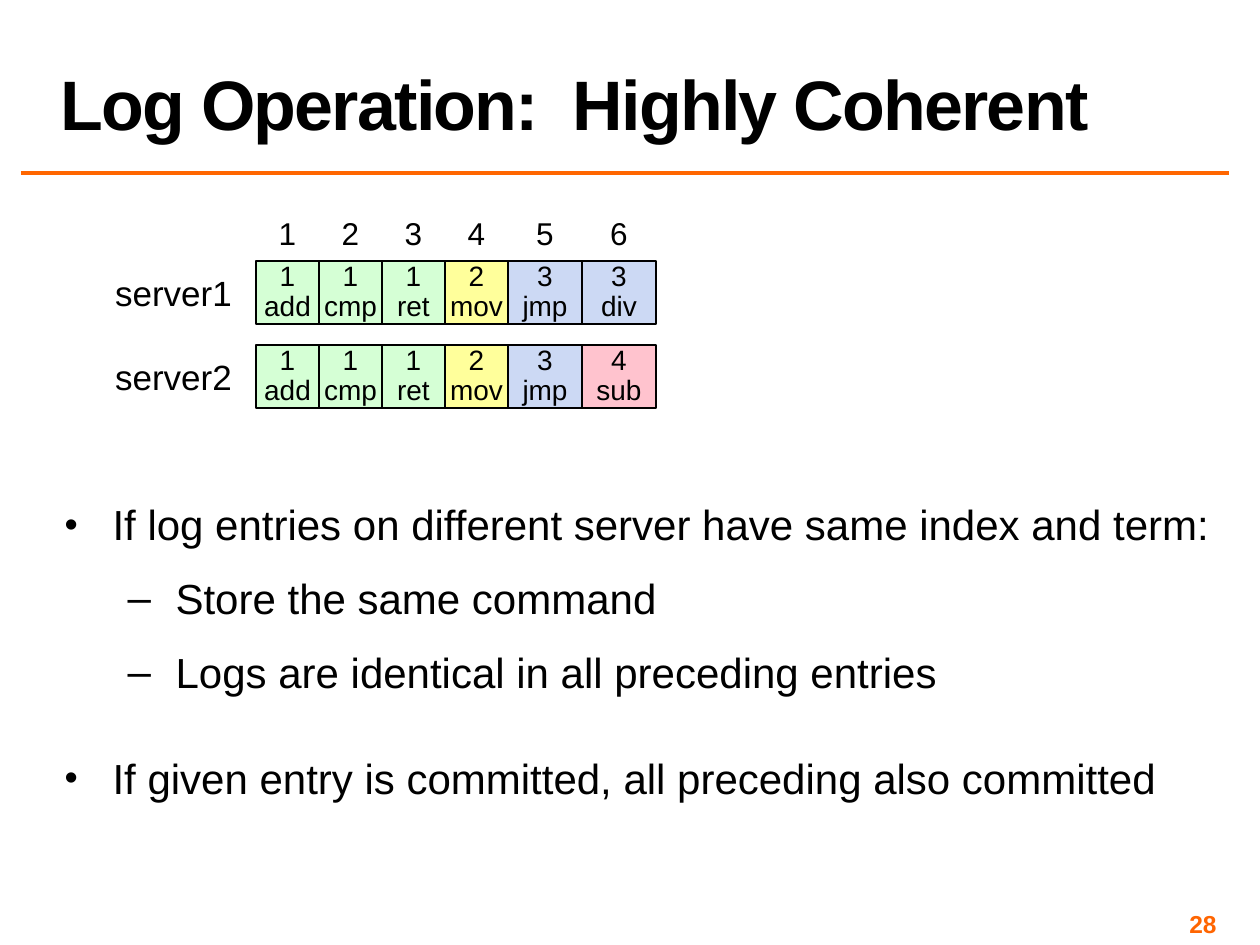
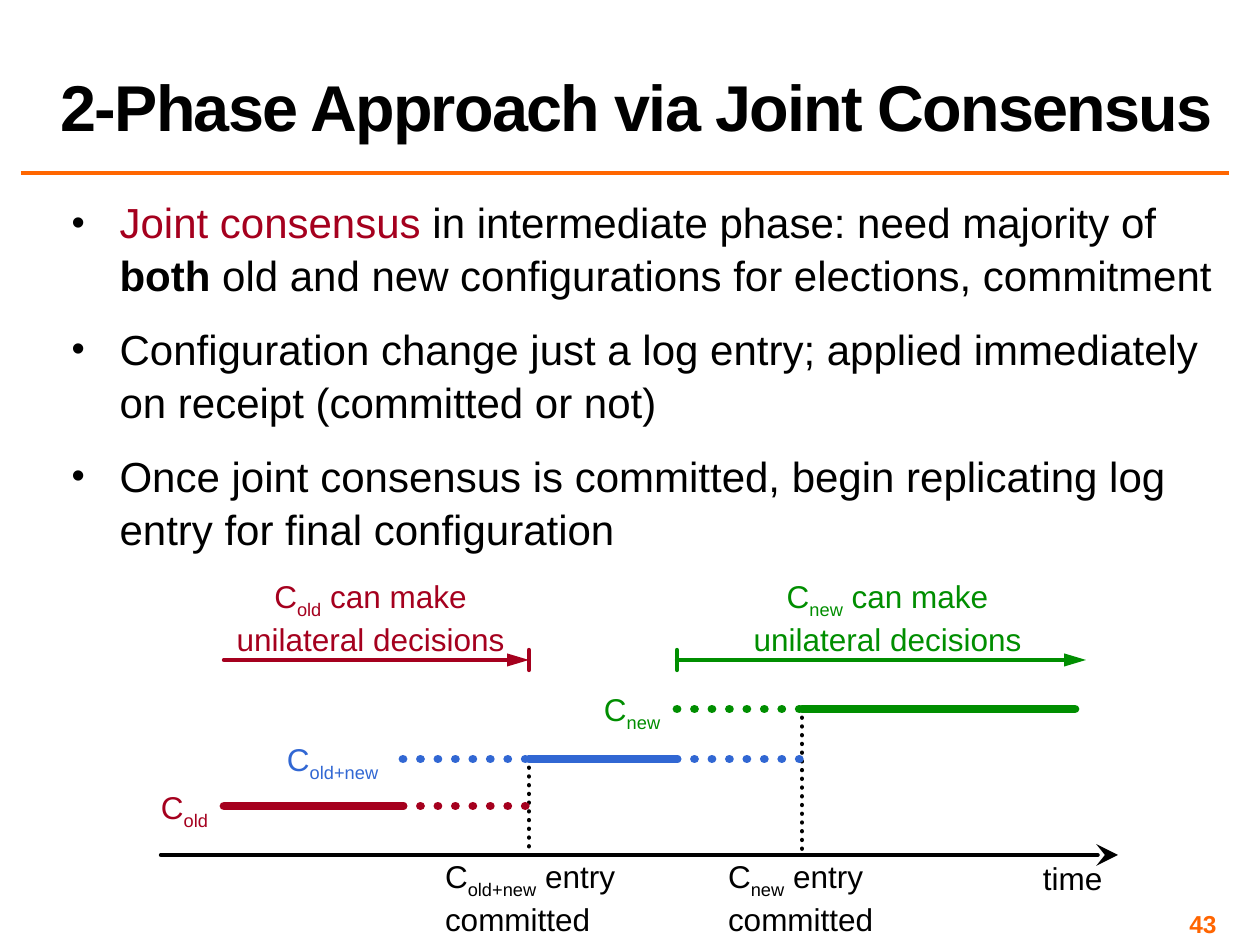
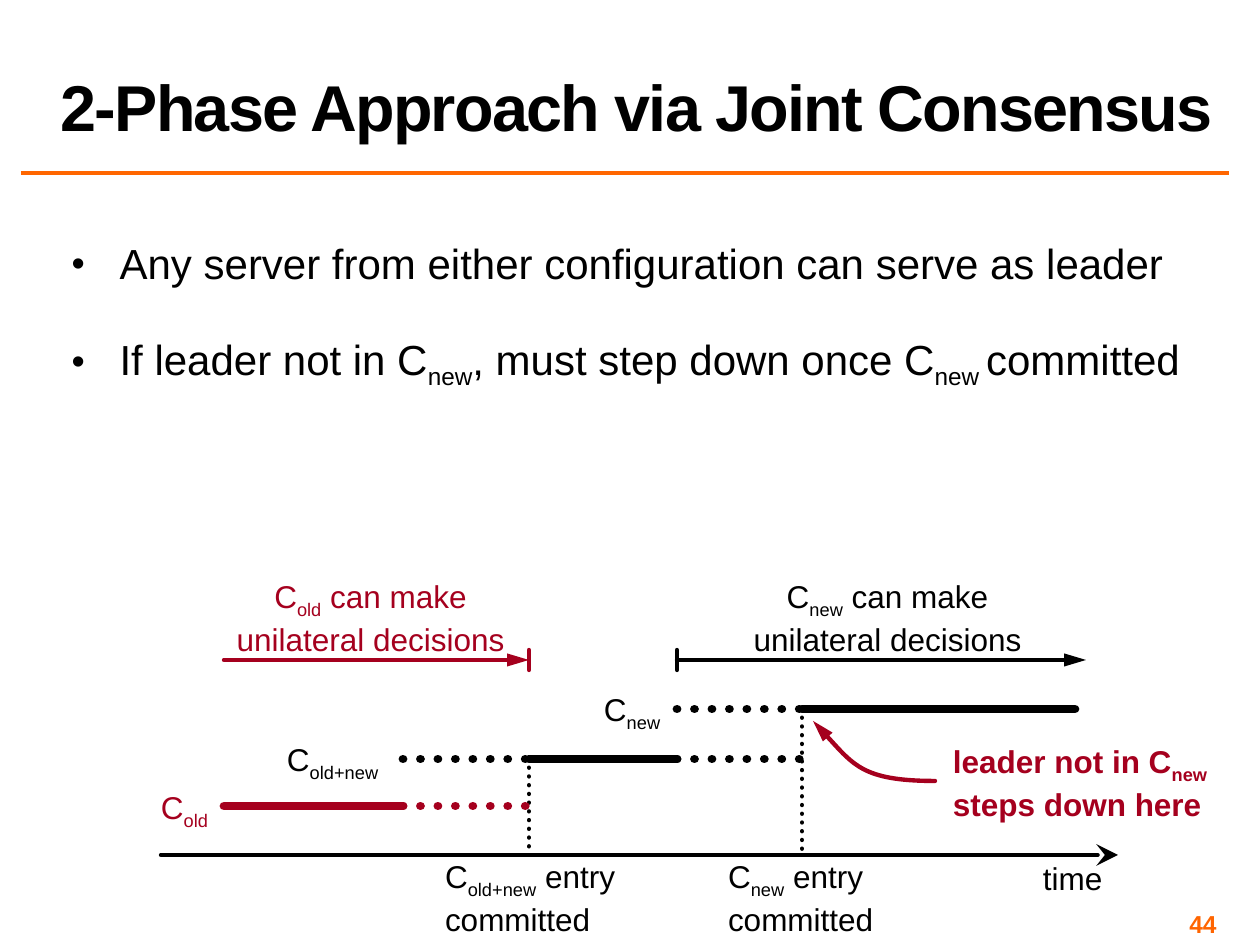
"""Build three slides on replicated logs and joint consensus."""
import enum
from dataclasses import dataclass
from typing import Any, NamedTuple

import lxml.etree
import pptx
import pptx.dml.color
import pptx.enum.dml
import pptx.enum.shapes
import pptx.enum.text
import pptx.oxml.ns
import pptx.util

EMU_PER_PX = 914400 / 126
ALIGN = pptx.enum.text.PP_ALIGN
ANCHOR = pptx.enum.text.MSO_ANCHOR
FIT = pptx.enum.text.MSO_AUTO_SIZE


@dataclass(frozen=True)
class Theme:
    font: str = "Arial"
    black: str = "000000"
    red: str = "A5001E"
    blue: str = "3167D3"
    green: str = "008E00"
    rule: str = "FF6600"
    number: str = "FF6501"
    terms: tuple[str, ...] = ("D5FFD5", "FFFF9B", "CCD9F4", "FFC3CE")
    body_size: int = 24
    server_size: int = 20
    label_size: int = 18
    cell_size: int = 16
    number_size: int = 14
    rule_width: float = 2
    thin: float = 2.5
    thick: float = 5
    cell_border: float = 1.5


THEME = Theme()


class Box(NamedTuple):
    left: int
    top: int
    width: int
    height: int


class Style(NamedTuple):
    size: int
    color: str = THEME.black
    bold: bool = False
    align: Any = ALIGN.LEFT


class Span(NamedTuple):
    text: str
    color: str | None = None
    bold: bool | None = None
    lowered: bool = False


class Bullet(NamedTuple):
    spans: list[Span]
    before: int = 12
    after: int = 0
    level: int = 0


class Stroke(NamedTuple):
    color: str
    width: float = THEME.thin
    dotted: bool = False
    head: str = ""
    head_width: str = "med"
    cap: str = "rnd"


class Entry(NamedTuple):
    term: int
    command: str


class Moment(enum.IntEnum):
    AXIS_START = 161
    OLD_START = 224
    JOINT_START = 403
    JOINT_COMMITTED = 529
    NEW_START = 677
    NEW_COMMITTED = 802
    NEW_END = 1075
    ARROW_END = 1086
    AXIS_END = 1118


class Row(enum.IntEnum):
    RANGE = 660
    NEW = 709
    JOINT = 759
    OLD = 806
    AXIS = 855


def px(length: int) -> pptx.util.Emu:
    """Turn pixels into EMU."""
    return pptx.util.Emu(round(length * EMU_PER_PX))


def rgb(color: str) -> pptx.dml.color.RGBColor:
    """Turn a hex string into a colour."""
    return pptx.dml.color.RGBColor.from_string(color)


def add_child(parent: Any, tag: str, **attributes: str) -> Any:
    """Append a DrawingML element."""
    return lxml.etree.SubElement(parent, pptx.oxml.ns.qn(tag), attributes)


def lowered(text: str) -> list[Span]:
    """Split text into spans, lowering what stands between bars."""
    parts = text.split("|")
    return [Span(part, lowered=index % 2 == 1) for index, part in enumerate(parts) if part]


def write(para: Any, spans: list[Span], style: Style) -> None:
    """Fill a paragraph with spans in one style."""
    para.alignment = style.align
    para.font.name = THEME.font
    para.font.size = pptx.util.Pt(style.size)
    para.font.color.rgb = rgb(style.color)
    para.font.bold = style.bold
    for span in spans:
        for index, line in enumerate(span.text.split("\n")):
            if index:
                para.add_line_break()
            if not line:
                continue
            run = para.add_run()
            run.text = line
            if span.color:
                run.font.color.rgb = rgb(span.color)
            if span.bold is not None:
                run.font.bold = span.bold
            if span.lowered:
                run._r.get_or_add_rPr().set("baseline", "-25000")


def place(shape: Any, box: Box) -> None:
    """Move and size a placeholder."""
    shape.left, shape.top, shape.width, shape.height = map(px, box)


def clear_margins(frame: Any) -> None:
    """Remove all insets from a text frame."""
    frame.margin_left = frame.margin_right = frame.margin_top = frame.margin_bottom = 0


def add_text(page: Any, box: Box, text: str, style: Style, tight: bool = True) -> None:
    """Add a text box, without insets or wrapping when tight."""
    frame = page.shapes.add_textbox(*map(px, box)).text_frame
    frame.word_wrap = not tight
    if tight:
        clear_margins(frame)
        frame.auto_size = FIT.SHAPE_TO_FIT_TEXT
    write(frame.paragraphs[0], lowered(text), style)


def apply_stroke(shape: Any, stroke: Stroke) -> None:
    """Style the outline of a line or curve."""
    shape.line.color.rgb = rgb(stroke.color)
    shape.line.width = pptx.util.Pt(stroke.width)
    if stroke.dotted:
        shape.line.dash_style = pptx.enum.dml.MSO_LINE.ROUND_DOT
    outline = shape.element.spPr.find(pptx.oxml.ns.qn("a:ln"))
    outline.set("cap", stroke.cap)
    if stroke.head:
        add_child(outline, "a:tailEnd", type=stroke.head, w=stroke.head_width, len="lg")


def add_line(page: Any, x1: int, y1: int, x2: int, y2: int, stroke: Stroke) -> None:
    """Add a straight line."""
    kind = pptx.enum.shapes.MSO_CONNECTOR.STRAIGHT
    line = page.shapes.add_connector(kind, px(x1), px(y1), px(x2), px(y2))
    apply_stroke(line, stroke)
    add_child(line.element.spPr, "a:effectLst")


def add_page(deck: Any, title: str, title_size: int, title_width: int, number: int) -> Any:
    """Add a slide with its title, rule and page number."""
    page = deck.slides.add_slide(deck.slide_layouts[1])
    heading = page.shapes.title
    place(heading, Box(48, 3, title_width, 147))
    frame = heading.text_frame
    frame.auto_size = FIT.NONE
    frame.vertical_anchor = ANCHOR.BOTTOM
    para = frame.paragraphs[0]
    para.line_spacing = 0.8
    write(para, [Span(title)], Style(title_size, bold=True))
    para.runs[0]._r.get_or_add_rPr().set("spc", "-100")
    add_line(page, 21, 173, 1229, 173, Stroke(THEME.rule, THEME.rule_width, cap="flat"))
    number_style = Style(THEME.number_size, THEME.number, True, ALIGN.RIGHT)
    add_text(page, Box(935, 903, 294, 29), str(number), number_style, tight=False)
    return page


def fill_body(page: Any, box: Box, bullets: list[Bullet]) -> None:
    """Write the bullet list into the body placeholder."""
    body = page.placeholders[1]
    place(body, box)
    frame = body.text_frame
    frame.auto_size = FIT.NONE
    frame.vertical_anchor = ANCHOR.TOP
    for index, bullet in enumerate(bullets):
        para = frame.add_paragraph() if index else frame.paragraphs[0]
        para.level = bullet.level
        properties = para._p.get_or_add_pPr()
        properties.set("marL", str(px(48 + 63 * bullet.level)))
        properties.set("indent", str(px(-48)))
        add_child(add_child(properties, "a:buClr"), "a:srgbClr", val=THEME.black)
        add_child(properties, "a:buSzPct", val="100000" if bullet.level else "90000")
        add_child(properties, "a:buFont", typeface=THEME.font)
        add_child(properties, "a:buChar", char="–" if bullet.level else "•")
        para.line_spacing = 1.05
        para.space_before = pptx.util.Pt(bullet.before if index else 0)
        para.space_after = pptx.util.Pt(bullet.after)
        write(para, bullet.spans, Style(THEME.body_size))


def add_cell(page: Any, box: Box, entry: Entry) -> None:
    """Add one log entry coloured by its term."""
    cell = page.shapes.add_shape(pptx.enum.shapes.MSO_SHAPE.RECTANGLE, *map(px, box))
    cell.shadow.inherit = False
    cell.fill.solid()
    cell.fill.fore_color.rgb = rgb(THEME.terms[entry.term - 1])
    cell.line.color.rgb = rgb(THEME.black)
    cell.line.width = pptx.util.Pt(THEME.cell_border)
    frame = cell.text_frame
    clear_margins(frame)
    frame.vertical_anchor = ANCHOR.MIDDLE
    para = frame.paragraphs[0]
    para.line_spacing = pptx.util.Pt(17)
    write(para, [Span(f"{entry.term}\n{entry.command}")], Style(THEME.cell_size, align=ALIGN.CENTER))


def draw_logs(page: Any) -> None:
    """Draw both server logs under their index numbers."""
    shared = [Entry(1, "add"), Entry(1, "cmp"), Entry(1, "ret"), Entry(2, "mov"), Entry(3, "jmp")]
    logs = {"server1": shared + [Entry(3, "div")], "server2": shared + [Entry(4, "sub")]}
    widths = [63] * 4 + [74] * 2
    lefts = [256 + sum(widths[:index]) for index in range(len(widths))]
    for index, (left, width) in enumerate(zip(lefts, widths), 1):
        style = Style(THEME.label_size, align=ALIGN.CENTER)
        add_text(page, Box(left, 208, width, 50), str(index), style, tight=False)
    for row, (server, entries) in enumerate(logs.items()):
        top = 261 + 84 * row
        style = Style(THEME.server_size, align=ALIGN.CENTER)
        add_text(page, Box(115, top + 10, 117, 43), server, style)
        for left, width, entry in zip(lefts, widths, entries):
            add_cell(page, Box(left, top, width, 63), entry)


def draw_timeline(page: Any, joint: str, new: str) -> None:
    """Draw the configuration change, with colours for its later phases."""
    old, black = THEME.red, THEME.black
    axis = Stroke(black, head="stealth", head_width="lg")
    add_line(page, Moment.AXIS_START, Row.AXIS, Moment.AXIS_END, Row.AXIS, axis)
    for moment, row in ((Moment.JOINT_COMMITTED, Row.JOINT), (Moment.NEW_COMMITTED, Row.NEW)):
        add_line(page, moment, row, moment, Row.AXIS, Stroke(black, dotted=True))
    phases = [
        (Row.OLD, old, Moment.OLD_START, Moment.JOINT_START, False),
        (Row.OLD, old, Moment.JOINT_START, Moment.JOINT_COMMITTED, True),
        (Row.JOINT, joint, Moment.JOINT_START, Moment.JOINT_COMMITTED, True),
        (Row.JOINT, joint, Moment.JOINT_COMMITTED, Moment.NEW_START, False),
        (Row.JOINT, joint, Moment.NEW_START, Moment.NEW_COMMITTED, True),
        (Row.NEW, new, Moment.NEW_START, Moment.NEW_COMMITTED, True),
        (Row.NEW, new, Moment.NEW_COMMITTED, Moment.NEW_END, False),
    ]
    for row, color, start, end, dotted in phases:
        add_line(page, start, row, end, row, Stroke(color, THEME.thick, dotted))
    ranges = [
        (old, Moment.OLD_START, Moment.JOINT_COMMITTED, Moment.JOINT_COMMITTED),
        (new, Moment.NEW_START, Moment.ARROW_END, Moment.NEW_START),
    ]
    for color, start, end, stop in ranges:
        add_line(page, start, Row.RANGE, end, Row.RANGE, Stroke(color, head="triangle"))
        add_line(page, stop, Row.RANGE - 10, stop, Row.RANGE + 10, Stroke(color))
    labels = [
        (Box(1043, 859, 60, 38), "time", black, ALIGN.LEFT),
        (Box(445, 857, 181, 77), "C|old+new| entry\ncommitted", black, ALIGN.LEFT),
        (Box(728, 857, 146, 77), "C|new| entry\ncommitted", black, ALIGN.LEFT),
        (Box(161, 788, 50, 38), "C|old|", old, ALIGN.LEFT),
        (Box(287, 740, 102, 38), "C|old+new|", joint, ALIGN.LEFT),
        (Box(604, 690, 62, 38), "C|new|", new, ALIGN.LEFT),
        (Box(235, 577, 271, 77), "C|old| can make\nunilateral decisions", old, ALIGN.CENTER),
        (Box(752, 577, 271, 77), "C|new| can make\nunilateral decisions", new, ALIGN.CENTER),
    ]
    for box, text, color, align in labels:
        add_text(page, box, text, Style(THEME.label_size, color, align=align))


def draw_step_down(page: Any) -> None:
    """Point a curved arrow at the moment the leader steps down."""
    style = Style(THEME.label_size, THEME.red, bold=True)
    add_text(page, Box(953, 742, 262, 77), "leader not in C|new|\nsteps down here", style)
    builder = page.shapes.build_freeform(935, 781, scale=EMU_PER_PX)
    builder.add_line_segments([(813, 721)], close=False)
    arrow = builder.convert_to_shape()
    arrow.shadow.inherit = False
    arrow.fill.background()
    apply_stroke(arrow, Stroke(THEME.red, head="triangle"))
    segment = next(arrow.element.iter(pptx.oxml.ns.qn("a:lnTo")))
    segment.tag = pptx.oxml.ns.qn("a:cubicBezTo")
    for index, (x, y) in enumerate([(50, 60), (35, 38)]):
        segment.insert(index, add_child(segment, "a:pt", x=str(x), y=str(y)))


def main() -> None:
    """Build and save the deck."""
    deck = pptx.Presentation()
    deck.slide_width, deck.slide_height = px(1260), px(945)

    page = add_page(deck, "Log Operation:  Highly Coherent", 40, 1181, 28)
    fill_body(page, Box(52, 490, 1208, 420), [
        Bullet([Span("If log entries on different server have same index and term:")], after=6),
        Bullet([Span("Store the same command")], 6, 6, 1),
        Bullet([Span("Logs are identical in all preceding entries")], 6, 6, 1),
        Bullet([Span("If given entry is committed, all preceding also committed")], 24),
    ])
    draw_logs(page)

    joint_title = "2-Phase Approach via Joint Consensus"
    page = add_page(deck, joint_title, 37, 1212, 43)
    fill_body(page, Box(59, 188, 1169, 357), [
        Bullet([
            Span("Joint consensus ", color=THEME.red),
            Span("in intermediate phase: need majority of "),
            Span("both", bold=True),
            Span(" old and new configurations for elections, commitment"),
        ]),
        Bullet([Span("Configuration change just a log entry; applied immediately "
                     "on receipt (committed or not)")]),
        Bullet([Span("Once joint consensus is committed, begin replicating log "
                     "entry for final configuration")]),
    ])
    draw_timeline(page, THEME.blue, THEME.green)

    page = add_page(deck, joint_title, 37, 1212, 44)
    fill_body(page, Box(59, 229, 1201, 316), [
        Bullet([Span("Any server from either configuration can serve as leader")]),
        Bullet(lowered("If leader not in C|new|, must step down once C|new |committed"), 24),
    ])
    draw_timeline(page, THEME.black, THEME.black)
    draw_step_down(page)

    deck.save("out.pptx")


if __name__ == "__main__":
    main()
